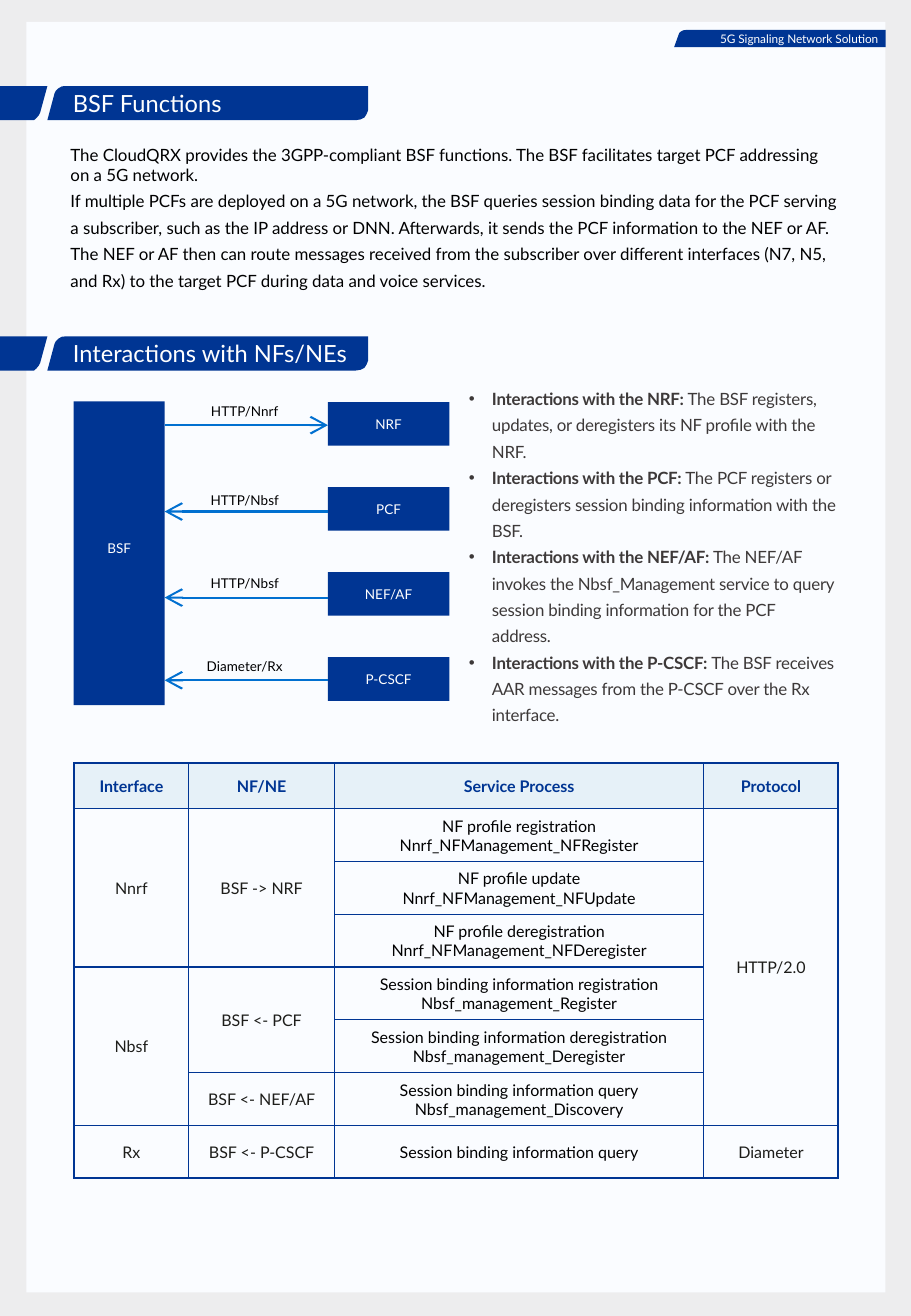
from lxml.etree import SubElement
from pptx import Presentation
from pptx.dml.color import RGBColor
from pptx.enum.shapes import MSO_CONNECTOR, MSO_SHAPE
from pptx.enum.text import MSO_ANCHOR, PP_ALIGN
from pptx.oxml import parse_xml
from pptx.oxml.ns import nsdecls, qn
from pptx.util import Pt

COLORS = {"frame": "EDEDEE", "sheet": "FAFCFF", "navy": "003593", "arrow": "0170D0",
          "header": "E6F1F8", "white": "FFFFFF", "black": "000000",
          "bullet": "3D3939", "cell": "1D1D1A"}

# Outlines: x on the page, y below the top of the banner
HEADING_STUB = [(28.1, 0), (0, 0), (0, 20.2), (20.2, 20.2), (21.6, 19), (23, 17.3), (23.8, 15.8)]
HEADING_TAB = [(218.2, 0), (38.9, 0), (36.7, 0.2), (34.6, 1.4), (33.1, 2.9), (32.4, 4.3),
               (28.1, 20.2), (211, 20.2), (213.8, 19.8), (216, 18.7), (217.4, 16.6), (218.2, 14.4)]
TITLE_TAB = [(525, 0), (406.5, 0), (405, 0.2), (404, 0.7), (403, 1.4), (402.5, 2.2),
             (399.6, 10.2), (525, 10.2)]

INTRO = [
    "The CloudQRX provides the 3GPP-compliant BSF functions. The BSF facilitates target PCF "
    "addressing on a 5G network.",
    "If multiple PCFs are deployed on a 5G network, the BSF queries session binding data for the "
    "PCF serving a subscriber, such as the IP address or DNN. Afterwards, it sends the PCF "
    "information to the NEF or AF. The NEF or AF then can route messages received from the "
    "subscriber over different interfaces (N7, N5, and Rx) to the target PCF during data and "
    "voice services.",
]
INTERACTIONS = [
    ("NRF", "The BSF registers, updates, or deregisters its NF profile with the NRF."),
    ("PCF", "The PCF registers or deregisters session binding information with the BSF."),
    ("NEF/AF", "The NEF/AF invokes the Nbsf_Management service to query session binding "
               "information for the PCF address."),
    ("P-CSCF", "The BSF receives AAR messages from the P-CSCF over the Rx interface."),
]
# Peer, interface label, top of the label, height of the arrow, sent by the BSF
PEERS = [("NRF", "HTTP/Nnrf", 239, 252, True),
         ("PCF", "HTTP/Nbsf", 291.6, 303.2, False),
         ("NEF/AF", "HTTP/Nbsf", 340.6, 354.2, False),
         ("P-CSCF", "Diameter/Rx", 390.2, 403.2, False)]

SERVICES = [
    ["Interface", "NF/NE", "Service Process", "Protocol"],
    ["Nnrf", "BSF -> NRF", "NF profile registration Nnrf_NFManagement_NFRegister", "HTTP/2.0"],
    ["", "", "NF profile update\nNnrf_NFManagement_NFUpdate", ""],
    ["", "", "NF profile deregistration\nNnrf_NFManagement_NFDeregister", ""],
    ["Nbsf", "BSF <- PCF",
     "Session binding information registration Nbsf_management_Register", ""],
    ["", "", "Session binding information deregistration\nNbsf_management_Deregister", ""],
    ["", "BSF <- NEF/AF", "Session binding information query\nNbsf_management_Discovery", ""],
    ["Rx", "BSF <- P-CSCF", "Session binding information query", "Diameter"],
]
COLUMN_WIDTHS = [68, 86.4, 218.9, 79.7]
MERGES = [(1, 0, 3, 0), (1, 1, 3, 1), (1, 3, 6, 3), (4, 0, 6, 0), (4, 1, 5, 1)]


def rgb(name):
    return RGBColor.from_string(COLORS[name])


def style_runs(paragraph, size, color, bold=False):
    for run in paragraph.runs:
        run.font.name = "Lato"
        run.font.size = Pt(size)
        run.font.bold = bold
        run.font.color.rgb = rgb(color)


def paint(shape, color):
    shape.shadow.inherit = False
    shape.fill.solid()
    shape.fill.fore_color.rgb = rgb(color)
    shape.line.fill.background()
    return shape


def add_box(slide, left, top, width, height, color, label="", lift=0):
    box = paint(slide.shapes.add_shape(MSO_SHAPE.RECTANGLE, Pt(left), Pt(top), Pt(width),
                                       Pt(height)), color)
    if label:
        frame = box.text_frame
        frame.text = label
        frame.margin_top, frame.margin_bottom = 0, Pt(lift)
        frame.vertical_anchor = MSO_ANCHOR.MIDDLE
        frame.paragraphs[0].alignment = PP_ALIGN.CENTER
        style_runs(frame.paragraphs[0], 8, "white")


def add_outline(slide, points, top):
    corners = [(Pt(x), Pt(top + y)) for x, y in points]
    builder = slide.shapes.build_freeform(*corners[0], scale=1.0)
    builder.add_line_segments(corners[1:], close=True)
    paint(builder.convert_to_shape(), "navy")


def add_text(slide, left, top, width, height, text, size, color, align=PP_ALIGN.LEFT):
    frame = slide.shapes.add_textbox(Pt(left), Pt(top), Pt(width), Pt(height)).text_frame
    frame.word_wrap = True
    frame.margin_left = frame.margin_right = frame.margin_top = frame.margin_bottom = 0
    frame.text = text
    for paragraph in frame.paragraphs:
        paragraph.alignment = align
        style_runs(paragraph, size, color)
    return frame


def add_heading(slide, top, title):
    add_outline(slide, HEADING_STUB, top)
    add_outline(slide, HEADING_TAB, top)
    add_text(slide, 43.2, top + 1.5, 334, 17.3, title, 14, "white")


def add_arrow(slide, start, end, y):
    arrow = slide.shapes.add_connector(MSO_CONNECTOR.STRAIGHT, Pt(start), Pt(y), Pt(end), Pt(y))
    arrow.line.color.rgb = rgb("arrow")
    arrow.line.width = Pt(1.25)
    SubElement(arrow.line._get_or_add_ln(), qn("a:tailEnd"), type="arrow", w="lg", len="lg")
    SubElement(arrow._element.spPr, qn("a:effectLst"))


def add_diagram(slide):
    bsf_edge, peer_edge = 97.6, 194.4
    add_box(slide, 43.7, 238, bsf_edge - 43.7, 180, "navy", "BSF", lift=6)
    for row, (peer, label, label_top, y, outgoing) in enumerate(PEERS):
        add_box(slide, peer_edge, 238.3 + 50.4 * row, 72, 25.9, "navy", peer)
        ends = (bsf_edge, peer_edge) if outgoing else (peer_edge, bsf_edge)
        add_arrow(slide, *ends, y)
        add_text(slide, bsf_edge, label_top, 95, 10, label, 8, "black", PP_ALIGN.CENTER)


def add_interactions(slide):
    frame = add_text(slide, 277.9, 226.8, 218.2, 203, "", 10, "bullet")
    for row, (peer, description) in enumerate(INTERACTIONS):
        paragraph = frame.paragraphs[0] if row == 0 else frame.add_paragraph()
        paragraph.line_spacing = 1.3
        lead, body = paragraph.add_run(), paragraph.add_run()
        lead.text, body.text = f"Interactions with the {peer}: ", description
        style_runs(paragraph, 10, "bullet")
        lead.font.bold = True
        for run in paragraph.runs:
            run.font._element.set("spc", "-10")
        properties = paragraph._p.get_or_add_pPr()
        properties.set("marL", str(Pt(13.7)))
        properties.set("indent", str(-Pt(13.7)))
        SubElement(properties, qn("a:buFont"), typeface="Arial")
        SubElement(properties, qn("a:buChar"), char="•")


def set_borders(cell, widths):
    properties = cell._tc.get_or_add_tcPr()
    for place, (side, width) in enumerate(zip("LRTB", widths)):
        properties.insert(place, parse_xml(
            f'<a:ln{side} {nsdecls("a")} w="{Pt(width)}"><a:solidFill>'
            f'<a:srgbClr val="{COLORS["navy"]}"/></a:solidFill></a:ln{side}>'))


def add_service_table(slide):
    rows, columns = len(SERVICES), len(COLUMN_WIDTHS)
    table = slide.shapes.add_table(rows, columns, Pt(43.9), Pt(452.3), Pt(sum(COLUMN_WIDTHS)),
                                   Pt(246)).table
    table.first_row = table.horz_banding = False
    for column, width in zip(table.columns, COLUMN_WIDTHS):
        column.width = Pt(width)
    for r, texts in enumerate(SERVICES):
        table.rows[r].height = Pt(31.3 if r else 27)
        for c, text in enumerate(texts):
            cell = table.cell(r, c)
            cell.text = text
            cell.vertical_anchor = MSO_ANCHOR.MIDDLE
            cell.margin_left = cell.margin_right = cell.margin_top = Pt(0.7)
            cell.margin_bottom = 0
            color = "navy" if r == 0 else "black" if c == 2 else "cell"
            for paragraph in cell.text_frame.paragraphs:
                paragraph.alignment = PP_ALIGN.CENTER
                style_runs(paragraph, 9.5, color, bold=r == 0)
            if r == 0:
                cell.fill.solid()
                cell.fill.fore_color.rgb = rgb("header")
            else:
                cell.fill.background()
            # The frame and the line above Nbsf are heavier
            heavy = (c == 0, c == columns - 1, r in (0, 4), r in (3, rows - 1))
            set_borders(cell, [1 if edge else 0.5 for edge in heavy])
    for top, left, bottom, right in MERGES:
        table.cell(top, left).merge(table.cell(bottom, right))


def main():
    deck = Presentation()
    deck.slide_width, deck.slide_height = Pt(540), Pt(780)
    slide = deck.slides.add_slide(deck.slide_layouts[6])

    # Page and running title
    add_box(slide, 0, 0, 540, 780, "frame")
    add_box(slide, 15.6, 13, 509.2, 753, "sheet")
    add_outline(slide, TITLE_TAB, 17.8)
    add_text(slide, 404.6, 18.6, 116, 8.6, "5G Signaling Network Solution", 7, "white",
             PP_ALIGN.RIGHT)

    # BSF functions
    add_heading(slide, 51, "BSF Functions")
    intro = add_text(slide, 41.8, 85.7, 455.8, 87, "\n".join(INTRO), 10, "black")
    intro.paragraphs[0].line_spacing = Pt(12)
    intro.paragraphs[1].line_spacing = 1.3

    # Interactions
    add_heading(slide, 199.4, "Interactions with NFs/NEs")
    add_diagram(slide)
    add_interactions(slide)
    add_service_table(slide)

    deck.save("out.pptx")


main()
